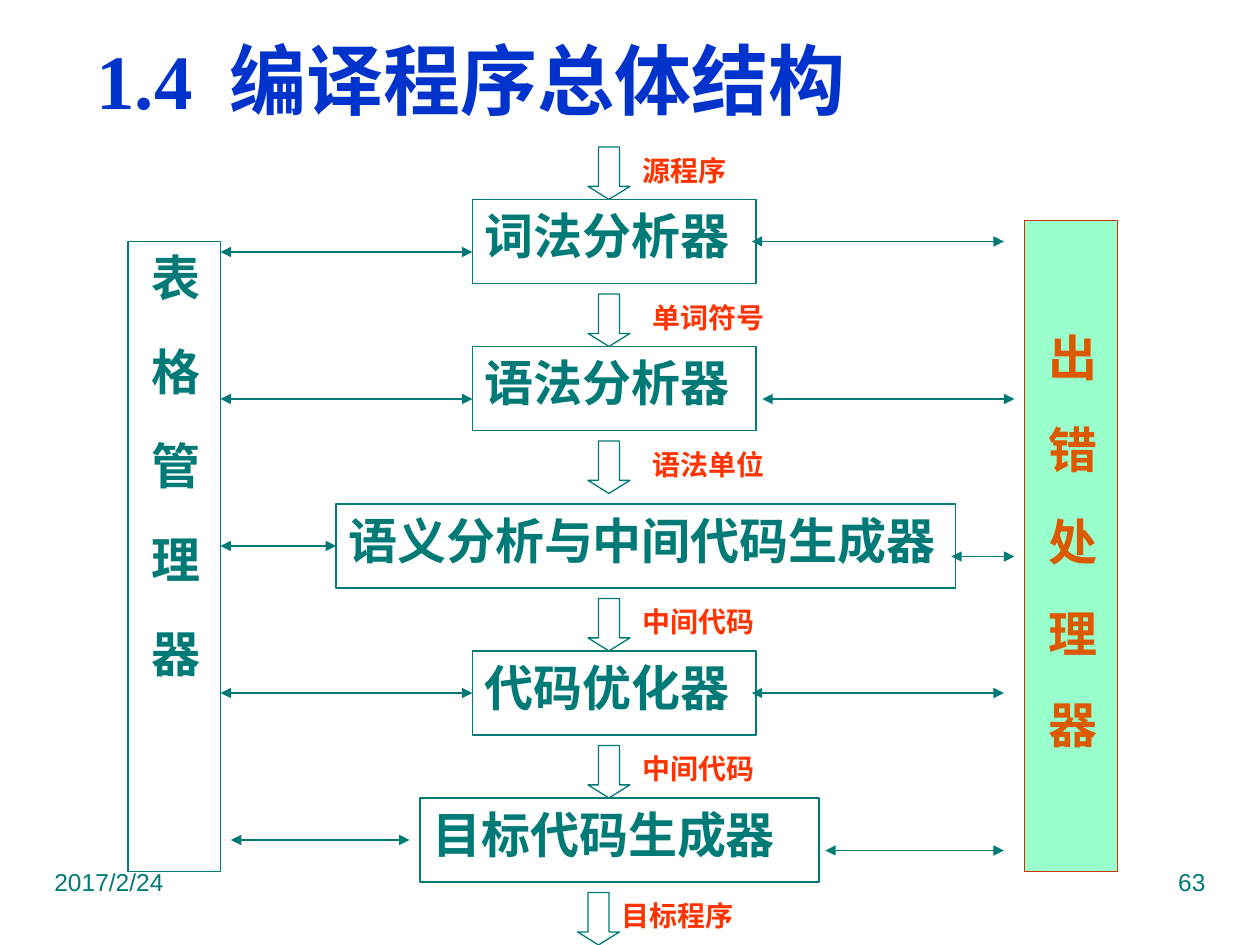
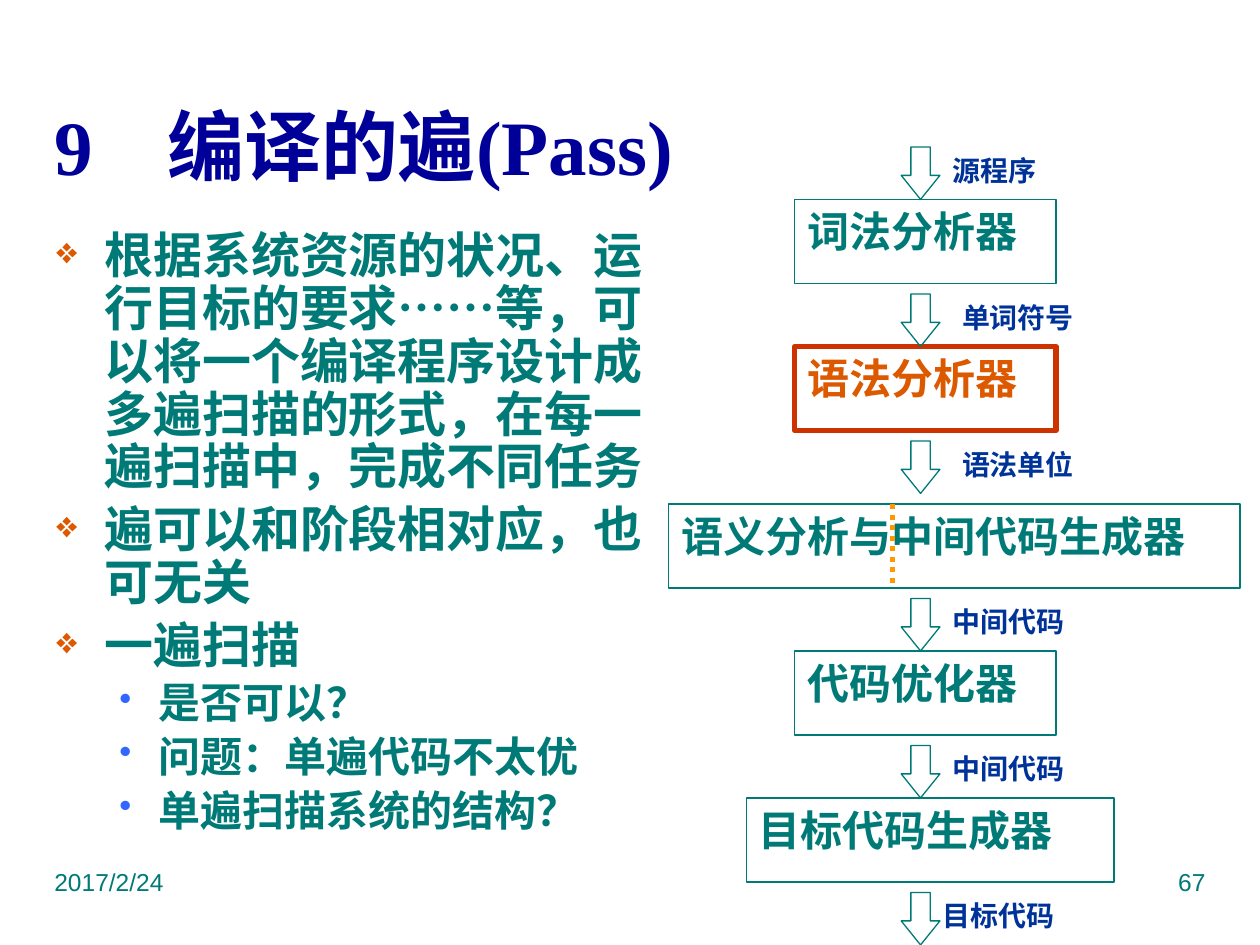
from pptx import Presentation
from pptx.dml.color import RGBColor
from pptx.enum.dml import MSO_LINE
from pptx.enum.shapes import MSO_CONNECTOR, MSO_SHAPE
from pptx.enum.text import MSO_ANCHOR, PP_ALIGN
from pptx.oxml.ns import qn
from pptx.util import Emu, Inches, Pt
from lxml.etree import SubElement

COLORS = {
    "teal": "007A77", "title_blue": "0033CC", "title_navy": "000099",
    "signal_red": "FF3300", "signal_navy": "003399", "orange": "DC5900",
    "rust": "CC3300", "mint": "99FFCC", "bullet_blue": "3366FF", "amber": "FF9900",
}
SANS, SERIF, FOOTER_FONT = "Noto Sans CJK JP", "Times New Roman", "Arial"
COLUMNS, ROWS = 120, 90
SLIDE_WIDTH, SLIDE_HEIGHT = Inches(10), Inches(7.5)

# The flow is 59 units wide: name, left unit, width in units, top row.
STAGES = [
    ("词法分析器", 13, 27, 5),
    ("语法分析器", 13, 27, 19),
    ("语义分析与中间代码生成器", 0, 59, 34),
    ("代码优化器", 13, 27, 48),
    ("目标代码生成器", 8, 38, 62),
]
FLOW_UNITS, STAGE_ROWS = 59, 8
ARROW_LEFT, ARROW_WIDTH, ARROW_ROWS = 24, 4, 5
# Signal name, left unit of its label, top row of its arrow.
SIGNALS = [("源程序", 28, 0), ("单词符号", 29, 14), ("语法单位", 29, 28),
           ("中间代码", 28, 43), ("中间代码", 28, 57)]
LAST_SIGNAL_LEFT, LAST_SIGNAL_ROW = 27, 71


def rgb(name):
    return RGBColor.from_string(COLORS[name])


def across(columns):
    return Emu(round(SLIDE_WIDTH * columns / COLUMNS))


def down(rows):
    return Emu(round(SLIDE_HEIGHT * rows / ROWS))


def place(left, top, width, height):
    return across(left), down(top), across(width), down(height)


def add_span(para, text, size, color, font=SANS, bold=True):
    span = para.add_run()
    span.text = text
    span.font.size, span.font.bold, span.font.name = Pt(size), bold, font
    span.font.color.rgb = rgb(color)
    return span


def add_text_box(page, box):
    frame = page.shapes.add_textbox(*place(*box)).text_frame
    frame.word_wrap = True
    return frame


def add_outline(page, kind, box, line="teal", weight=0.75, fill=None):
    shape = page.shapes.add_shape(kind, *place(*box))
    shape.shadow.inherit = False
    if fill:
        shape.fill.solid()
        shape.fill.fore_color.rgb = rgb(fill)
    else:
        shape.fill.background()
    shape.line.color.rgb = rgb(line)
    shape.line.width = Pt(weight)
    return shape


def add_line(page, start, end, color="teal", weight=0.75):
    line = page.shapes.add_connector(
        MSO_CONNECTOR.STRAIGHT, across(start[0]), down(start[1]),
        across(end[0]), down(end[1]))
    line.line.color.rgb = rgb(color)
    line.line.width = Pt(weight)
    SubElement(line._element.spPr, qn("a:effectLst"))
    return line


def add_double_arrow(page, left, right, row):
    line = add_line(page, (left, row), (right, row))
    for end in ("a:headEnd", "a:tailEnd"):
        SubElement(line.line._get_or_add_ln(), qn(end), type="triangle")


def add_title(page, box, number, name, color, tab):
    """Number and name, the name starting at a tab stop given in inches."""
    frame = add_text_box(page, box)
    frame.vertical_anchor = MSO_ANCHOR.MIDDLE
    para = frame.paragraphs[0]
    stops = SubElement(para._p.get_or_add_pPr(), qn("a:tabLst"))
    SubElement(stops, qn("a:tab"), pos=str(Inches(tab)), algn="l")
    add_span(para, f"{number}\t{name}", 44, color, SERIF)


def add_footer(page, number):
    for left, text, align in ((4, "2017/2/24", PP_ALIGN.LEFT),
                              (86, number, PP_ALIGN.RIGHT)):
        para = add_text_box(page, (left, 82, 30, 6)).paragraphs[0]
        para.alignment = align
        add_span(para, text, 14, "teal", FOOTER_FONT, bold=False)


def add_signal(page, arrow_box, label_box, name, color, head):
    arrow = add_outline(page, MSO_SHAPE.DOWN_ARROW, arrow_box)
    arrow.adjustments[0], arrow.adjustments[1] = 0.5, head
    add_span(add_text_box(page, label_box).paragraphs[0], name, 16, color)


def add_flow(page, box, size, signal_color, head, result, shift=0, marked=None):
    """Chain of stages; shift moves the last signal, marked names a stage."""
    left, top, width = box
    unit = width / FLOW_UNITS
    for name, start, units, row in STAGES:
        line, weight, ink = (("rust", 3, "orange") if name == marked
                             else ("teal", 0.75, "teal"))
        stage = add_outline(
            page, MSO_SHAPE.RECTANGLE,
            (left + start * unit, top + row, units * unit, STAGE_ROWS), line, weight)
        stage.text_frame.word_wrap = True
        stage.text_frame.vertical_anchor = MSO_ANCHOR.TOP
        para = stage.text_frame.paragraphs[0]
        para.alignment = PP_ALIGN.LEFT
        add_span(para, name, size, ink)
    last = (result, LAST_SIGNAL_LEFT + shift, LAST_SIGNAL_ROW)
    for name, start, row in SIGNALS + [last]:
        arrow_left = ARROW_LEFT + (shift if name == result else 0)
        add_signal(
            page,
            (left + arrow_left * unit, top + row, ARROW_WIDTH * unit, ARROW_ROWS),
            (left + start * unit, top + row, 16 * unit, 4),
            name, signal_color, head)


def add_manager(page, box, name, ink, line, spacing, fill=None, indent=0):
    """Tall bar with vertical text; spacing in points, indent in inches."""
    bar = add_outline(page, MSO_SHAPE.RECTANGLE, box, line, fill=fill)
    frame = bar.text_frame
    frame.word_wrap = True
    frame.vertical_anchor = MSO_ANCHOR.MIDDLE
    frame._txBody.bodyPr.set("vert", "eaVert")
    para = frame.paragraphs[0]
    para.alignment = PP_ALIGN.LEFT
    para._p.get_or_add_pPr().set("marL", str(Inches(indent)))
    span = add_span(para, name, 28, ink)
    span._r.get_or_add_rPr().set("spc", str(round(spacing * 100)))


def add_bullets(page, box, items):
    frame = add_text_box(page, box)
    styles = [("❖", "orange", 75, 0.38, 0.38, 28),
              ("•", "bullet_blue", 85, 0.81, 0.31, 24)]
    for index, (level, text) in enumerate(items):
        mark, color, percent, margin, hang, size = styles[level]
        para = frame.add_paragraph() if index else frame.paragraphs[0]
        para.level = level
        props = para._p.get_or_add_pPr()
        props.set("marL", str(Inches(margin)))
        props.set("indent", str(-Inches(hang)))
        SubElement(SubElement(props, qn("a:buClr")), qn("a:srgbClr"), val=COLORS[color])
        SubElement(props, qn("a:buSzPct"), val=str(percent * 1000))
        SubElement(props, qn("a:buChar"), char=mark)
        para.line_spacing = 0.9
        if index:
            para.space_before = Pt(size * 0.2)
        add_span(para, text, size, "teal", SERIF)


def build_structure_page(page):
    add_footer(page, "63")
    add_title(page, (8, 3, 108, 9), "1.4", "编译程序总体结构", "title_blue", 1.06)
    add_flow(page, (32, 14, 59), 28, "signal_red", 0.31, "目标程序", shift=-1)
    add_manager(page, (12.2, 23, 8.8, 60), "表格管理器", "teal", "teal", 25.7)
    add_manager(page, (97.6, 21, 8.8, 62), "出错处理器", "orange", "rust", 24.5,
                fill="mint", indent=0.8)
    table_links = [(21, 45), (21, 45), (21, 32), (21, 45), (22, 39)]
    for index, (left, right) in enumerate(table_links):
        add_double_arrow(page, left, right, 24 + 14 * index)
    error_links = [(71.6, 95.6, 23), (72.6, 96.6, 38), (90.6, 96.6, 53),
                   (71.6, 95.6, 66), (78.6, 95.6, 81)]
    for left, right, row in error_links:
        add_double_arrow(page, left, right, row)


def build_pass_page(page):
    add_footer(page, "67")
    add_title(page, (4, 8, 112, 11.5), "9", "编译的遍(Pass)", "title_navy", 0.9)
    add_bullets(page, (4.2, 21.4, 62.4, 63.4), [
        (0, "根据系统资源的状况、运行目标的要求……等，可以将一个编译程序设计成"
            "多遍扫描的形式，在每一遍扫描中，完成不同任务"),
        (0, "遍可以和阶段相对应，也可无关"),
        (0, "一遍扫描"),
        (1, "是否可以？"),
        (1, "问题：单遍代码不太优"),
        (1, "单遍扫描系统的结构？"),
    ])
    add_flow(page, (63.7, 14, 54.4), 24, "signal_navy", 0.62, "目标代码",
             marked="语法分析器")
    divider = add_line(page, (85, 48), (85, 56), "amber", 3)
    divider.line.dash_style = MSO_LINE.ROUND_DOT


def main():
    deck = Presentation()
    deck.slide_width, deck.slide_height = SLIDE_WIDTH, SLIDE_HEIGHT
    for build in (build_structure_page, build_pass_page):
        build(deck.slides.add_slide(deck.slide_layouts[6]))
    deck.save("out.pptx")


if __name__ == "__main__":
    main()
